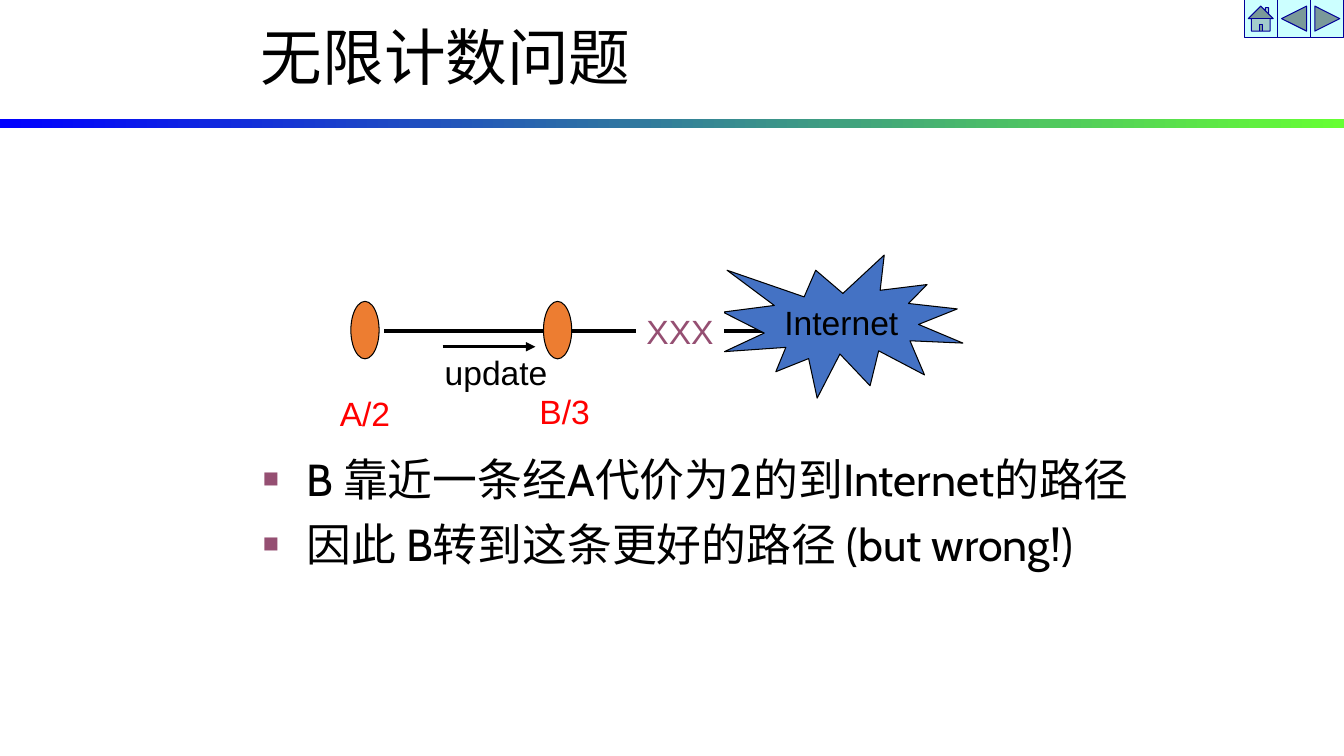
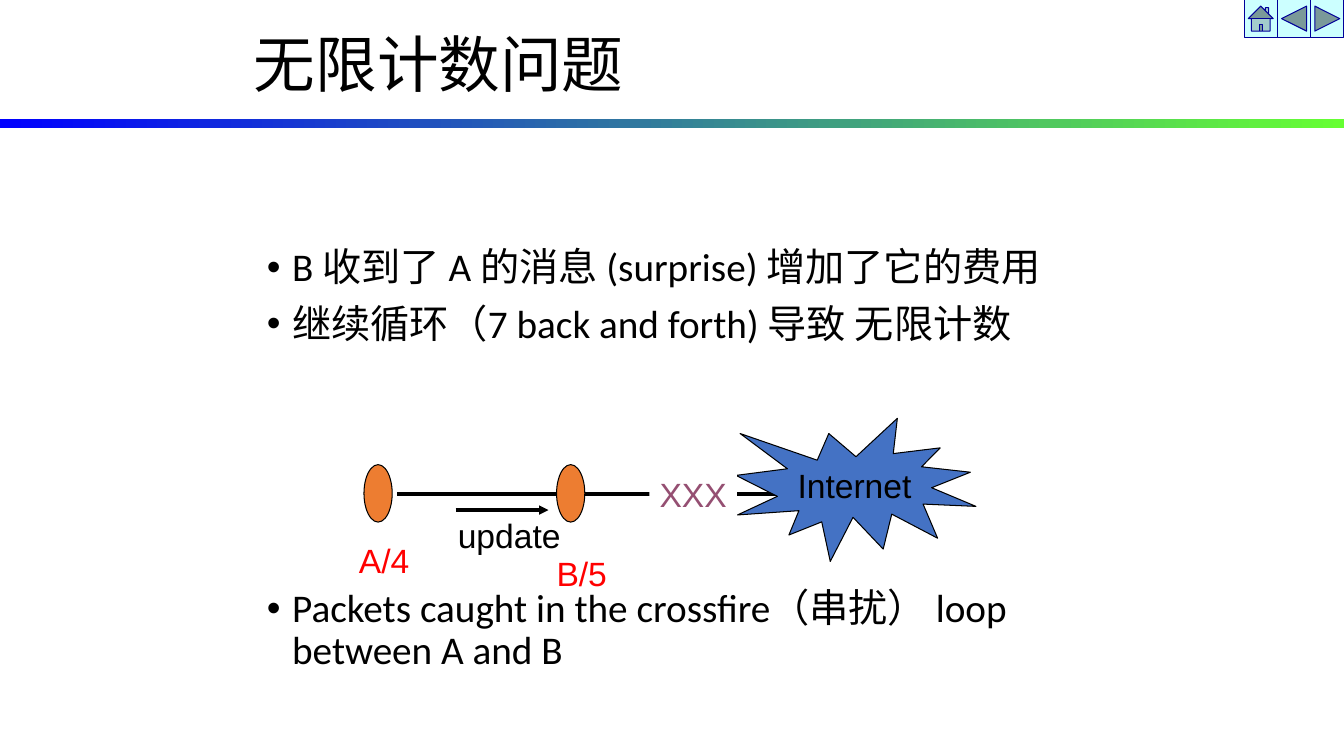
"""Two slides on the count-to-infinity problem in distance-vector routing."""
from lxml.etree import SubElement
from pptx import Presentation
from pptx.dml.color import RGBColor
from pptx.enum.shapes import MSO_CONNECTOR, MSO_SHAPE
from pptx.enum.text import MSO_ANCHOR, PP_ALIGN
from pptx.oxml.ns import qn
from pptx.util import Inches, Pt

COLOURS = {
    "text": "000000",
    "cost": "FF0000",
    "accent": "954F72",
    "router": "ED7D31",
    "cloud": "4472C4",
    "paper": "FFFFFF",
    "button": "CCFFFF",
    "button_line": "000099",
    "band_start": "0000FF",
    "band_end": "66FF33",
}


def colour(name):
    return RGBColor.from_string(COLOURS[name])


class Deck:
    def __init__(self):
        self.presentation = Presentation()
        self.presentation.slide_width = Inches(13.33)
        self.presentation.slide_height = Inches(7.5)
        self.slide = None

    def new_slide(self, title, left, top, height):
        self.slide = self.presentation.slides.add_slide(self.presentation.slide_layouts[6])
        buttons = (MSO_SHAPE.ACTION_BUTTON_HOME,
                   MSO_SHAPE.ACTION_BUTTON_BACK_OR_PREVIOUS,
                   MSO_SHAPE.ACTION_BUTTON_FORWARD_OR_NEXT)
        width = 0.33
        for index, kind in enumerate(buttons):
            self.shape(kind, 13.33 - width * (3 - index), 0, width, 0.37, "button", "button_line")
        self.band()
        frame = self.text_box(left, top, 8.5, height)
        frame.text = title
        frame.paragraphs[0].line_spacing = 0.9
        self.style(frame.paragraphs[0], "Calibri", 44)

    def band(self):
        band = self.shape(MSO_SHAPE.RECTANGLE, 0, 1.18, 13.33, 0.09, "band_start")
        band.fill.gradient()
        band.fill.gradient_angle = 0
        for stop, name, position in zip(band.fill.gradient_stops, ("band_start", "band_end"), (0, 1)):
            stop.color.rgb = colour(name)
            stop.position = position

    def shape(self, kind, left, top, width, height, fill, line=None):
        shape = self.slide.shapes.add_shape(
            kind, Inches(left), Inches(top), Inches(width), Inches(height))
        shape.shadow.inherit = False
        shape.fill.solid()
        shape.fill.fore_color.rgb = colour(fill)
        if line:
            shape.line.color.rgb = colour(line)
            shape.line.width = Pt(0.75)
        else:
            shape.line.fill.background()
        return shape

    def text_box(self, left, top, width, height):
        box = self.slide.shapes.add_textbox(
            Inches(left), Inches(top), Inches(width), Inches(height))
        box.text_frame.word_wrap = True
        return box.text_frame

    def style(self, paragraph, font, size, name="text"):
        for run in paragraph.runs:
            run.font.name = font
            run.font.size = Pt(size)
            run.font.color.rgb = colour(name)

    def caption(self, frame, text, name="text"):
        frame.word_wrap = False
        frame.text = text
        frame.paragraphs[0].alignment = PP_ALIGN.CENTER
        self.style(frame.paragraphs[0], "Arial", 24, name)

    def label(self, text, left, top, width, name="text"):
        self.caption(self.text_box(left, top, width, 0.5), text, name)

    def arrow(self, left, top, length, width):
        arrow = self.slide.shapes.add_connector(
            MSO_CONNECTOR.STRAIGHT, Inches(left), Inches(top), Inches(left + length), Inches(top))
        arrow.line.color.rgb = colour("text")
        arrow.line.width = Pt(width)
        SubElement(arrow.line._get_or_add_ln(), qn("a:tailEnd"), type="triangle")
        SubElement(arrow._element.spPr, qn("a:effectLst"))

    def bullets(self, frame, texts, gaps, mark, indent, font, size,
                line_spacing=1.0, mark_colour="text", mark_percent=100):
        for index, (text, gap) in enumerate(zip(texts, gaps)):
            paragraph = frame.add_paragraph() if index else frame.paragraphs[0]
            paragraph.text = text
            properties = paragraph._p.get_or_add_pPr()
            properties.set("marL", str(Inches(indent)))
            properties.set("indent", str(-Inches(indent)))
            bullet_colour = SubElement(properties, qn("a:buClr"))
            SubElement(bullet_colour, qn("a:srgbClr"), val=COLOURS[mark_colour])
            SubElement(properties, qn("a:buSzPct"), val=str(mark_percent * 1000))
            SubElement(properties, qn("a:buFont"), typeface="Arial")
            SubElement(properties, qn("a:buChar"), char=mark)
            paragraph.line_spacing = line_spacing
            paragraph.space_before = Pt(gap)
            self.style(paragraph, font, size)

    def network(self, left, top, cost_a, cost_b):
        self.arrow(left + 0.91, top + 0.91, 0.92, 2.25)
        self.label("update", left + 0.83, top + 0.91, 1.22)
        self.arrow(left + 0.33, top + 0.75, 4, 3)
        for offset in (0, 1.91):
            self.shape(MSO_SHAPE.OVAL, left + offset, top + 0.46, 0.28, 0.57, "router", "text")
        cloud = self.shape(MSO_SHAPE.EXPLOSION1, left + 3.69, top, 2.38, 1.42, "cloud", "text")
        cloud.text_frame.vertical_anchor = MSO_ANCHOR.MIDDLE
        self.caption(cloud.text_frame, "Internet")
        for text, label_left, label_top in (cost_a, cost_b):
            self.label(text, label_left, label_top, 0.7, "cost")
        broken = self.shape(MSO_SHAPE.RECTANGLE, left + 2.83, top + 0.5, 0.87, 0.5, "paper")
        self.caption(broken.text_frame, "XXX", "accent")


def main():
    deck = Deck()

    deck.new_slide("无限计数问题", 2.49, 0.22, 1.25)
    deck.network(3.48, 2.53, ("A/2", 3.27, 3.85), ("B/3", 5.25, 3.83))
    deck.bullets(
        deck.text_box(2.51, 4.43, 9.3, 1.29),
        ["B 靠近一条经A代价为2的到Internet的路径", "因此 B转到这条更好的路径 (but wrong!)"],
        (0, 8), "■", 0.43, "Cabin", 32, mark_colour="accent", mark_percent=60)

    deck.new_slide("无限计数问题", 2.42, 0.29, 0.89)
    deck.bullets(
        deck.text_box(2.55, 2.41, 8.5, 4.5),
        ["B 收到了 A 的消息 (surprise) 增加了它的费用",
         "继续循环（7 back and forth) 导致 无限计数",
         "Packets caught in the crossfire（串扰） loop between A and B"],
        (0, 10, 173), "•", 0.25, "Calibri", 28, line_spacing=0.9)
    deck.network(3.61, 4.15, ("A/4", 3.46, 5.31), ("B/5", 5.42, 5.44))

    deck.presentation.save("out.pptx")


if __name__ == "__main__":
    main()
